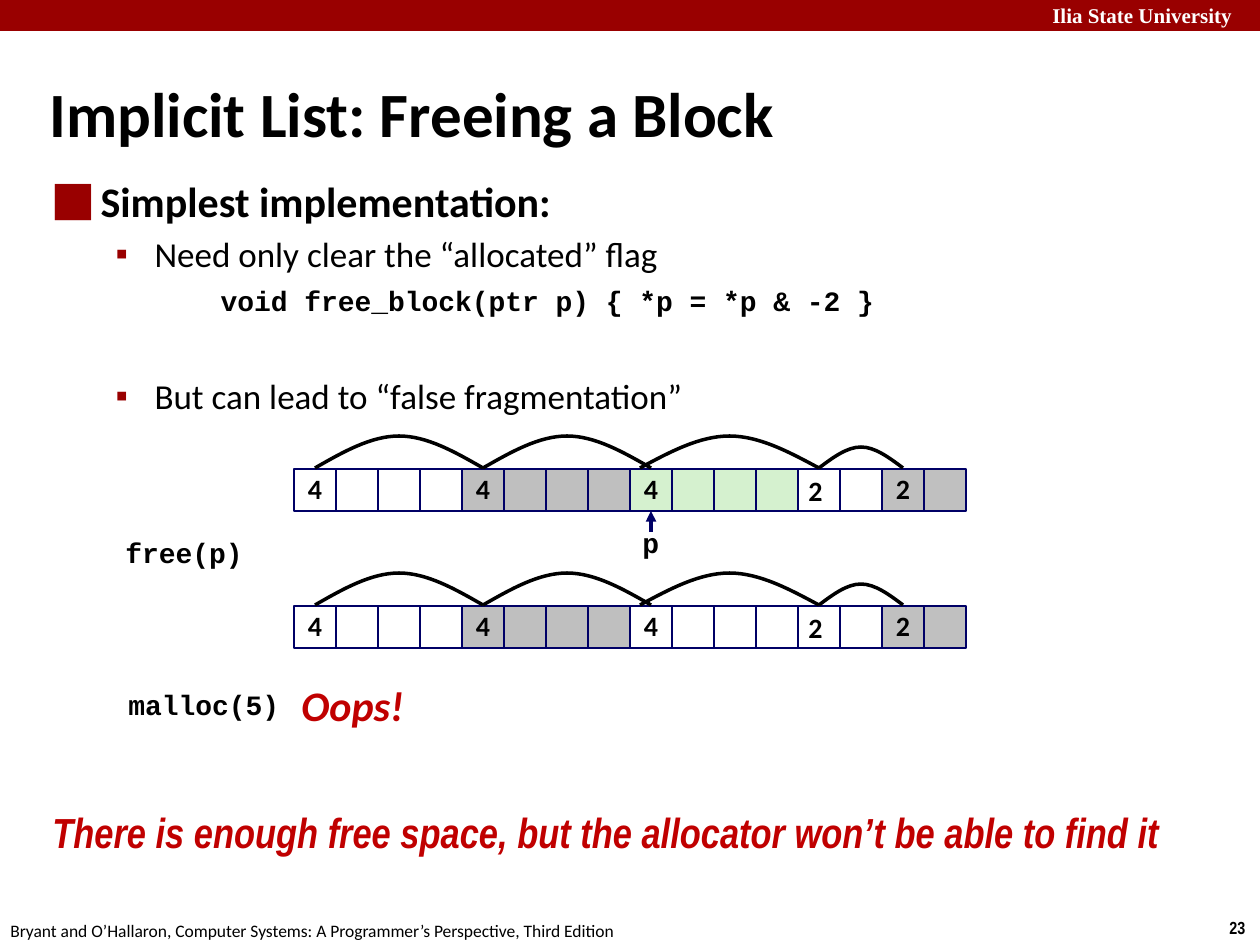
from lxml import etree
from pptx import Presentation
from pptx.dml.color import RGBColor
from pptx.enum.shapes import MSO_CONNECTOR, MSO_SHAPE
from pptx.enum.text import MSO_ANCHOR, MSO_AUTO_SIZE, PP_ALIGN
from pptx.oxml.ns import qn
from pptx.util import Pt

SCALE = 914400 / 126  # EMU in one px
RECTANGLE = MSO_SHAPE.RECTANGLE
STRAIGHT = MSO_CONNECTOR.STRAIGHT
MIDDLE, TOP = MSO_ANCHOR.MIDDLE, MSO_ANCHOR.TOP
NO_AUTOSIZE = MSO_AUTO_SIZE.NONE
LEFT, CENTER = PP_ALIGN.LEFT, PP_ALIGN.CENTER

COLORS = {
    "maroon": "990000", "red": "C00000", "navy": "000066", "black": "000000",
    "white": "FFFFFF", "gray": "BFBFBF", "silver": "C0C0C0", "green": "D5F1CF",
}
CELL = 42
ROW_LEFT = 294
# Blocks of the heap: size, fill
HEAP_BEFORE = [(4, "white"), (4, "gray"), (4, "green"), (2, "white"), (2, "silver")]
HEAP_AFTER = [(4, "white"), (4, "gray"), (4, "white"), (2, "white"), (2, "silver")]
# Arcs between block headers: left, width, height
ARCS = [(315, 168, 32), (483, 168, 32), (640, 179, 32), (819, 84, 21)]
# Bezier points of one arc, as parts of its width and height
ARC_POINTS = [(1 / 6, 0.5), (1 / 3, 1), (1 / 2, 1), (2 / 3, 1), (5 / 6, 0.5), (1, 0)]


def px(length):
    return round(length * SCALE)


def color(name):
    return RGBColor.from_string(COLORS[name])


def place(box, left, top, width, height):
    box.left, box.top, box.width, box.height = map(px, (left, top, width, height))


def style(para, size, font="Calibri", ink="black", bold=True, italic=False):
    for span in para.runs:
        span.font.size, span.font.name = Pt(size), font
        span.font.bold, span.font.italic = bold, italic
        span.font.color.rgb = color(ink)


def add_label(page, text, bounds, size, wrap=False, spacing=1.0, **looks):
    box = page.shapes.add_textbox(*map(px, bounds))
    frame = box.text_frame
    frame.text = text
    frame.word_wrap = wrap
    frame.auto_size = NO_AUTOSIZE
    frame.paragraphs[0].line_spacing = spacing
    style(frame.paragraphs[0], size, **looks)


def add_rectangle(page, bounds, fill, line=None):
    box = page.shapes.add_shape(RECTANGLE, *map(px, bounds))
    box.shadow.inherit = False
    box.fill.solid()
    box.fill.fore_color.rgb = color(fill)
    if line:
        box.line.color.rgb = color(line)
        box.line.width = Pt(0.75)
    else:
        box.line.fill.background()
    return box


def add_arc(page, left, base, width, height):
    points = [(px(left + x * width), px(base - y * height)) for x, y in ARC_POINTS]
    builder = page.shapes.build_freeform(px(left), px(base))
    builder.add_line_segments(points, close=False)
    arc = builder.convert_to_shape()
    # Join each three line points into one Bezier segment
    outline = next(arc.element.iter(qn("a:path")))
    lines = outline.findall(qn("a:lnTo"))
    for start in range(0, len(lines), 3):
        curve = etree.SubElement(outline, qn("a:cubicBezTo"))
        for line in lines[start:start + 3]:
            curve.append(line[0])
            outline.remove(line)
    arc.shadow.inherit = False
    arc.fill.background()
    arc.line.color.rgb = color("black")
    arc.line.width = Pt(2)


def add_heap(page, top, blocks):
    """Draw one row of blocks and return its cells."""
    cells = []
    for number, (size, fill) in enumerate(blocks):
        for offset in range(size):
            left = ROW_LEFT + len(cells) * CELL
            cell = add_rectangle(page, (left, top, CELL, CELL), fill, "navy")
            cells.append(cell)
            if offset:
                continue
            if number == 3:  # this header sits a little left of the middle
                add_label(page, str(size), (left - 2, top, 39, 47), 16, spacing=0.98)
                continue
            cell.text_frame.text = str(size)
            cell.text_frame.vertical_anchor = MIDDLE
            para = cell.text_frame.paragraphs[0]
            para.alignment = CENTER
            para.line_spacing = 0.98
            style(para, 16)
    for left, width, height in ARCS:
        add_arc(page, left, top - 1, width, height)
    return cells


def add_pointer(page, cell):
    arrow = page.shapes.add_connector(STRAIGHT, px(651), px(532), px(651), px(511))
    arrow.end_connect(cell, 2)
    arrow.line.color.rgb = color("navy")
    arrow.line.width = Pt(2)
    line = arrow.line._get_or_add_ln()
    etree.SubElement(line, qn("a:tailEnd"), type="triangle")
    etree.SubElement(arrow.element.spPr, qn("a:effectLst"))


def set_bullet(para, symbol, margin, indent):
    properties = para._p.get_or_add_pPr()
    properties.set("marL", str(px(margin)))
    properties.set("indent", str(px(indent)))
    if not symbol:
        etree.SubElement(properties, qn("a:buNone"))
        return
    tint = etree.SubElement(properties, qn("a:buClr"))
    etree.SubElement(tint, qn("a:srgbClr"), val=COLORS["maroon"])
    etree.SubElement(properties, qn("a:buChar"), char=symbol)


def fill_title(title):
    place(title, 37, 73, 993, 79)
    title.text_frame.text = "Implicit List: Freeing a Block"
    title.text_frame.vertical_anchor = MIDDLE
    title.text_frame.auto_size = NO_AUTOSIZE
    para = title.text_frame.paragraphs[0]
    para.alignment = LEFT
    style(para, 36)


def fill_body(body):
    # text, level, bullet, margin, indent, space before, looks
    items = [
        ("Simplest implementation:", 0, "⬛", 48, -48, 0, {"size": 24}),
        ("Need only clear the “allocated” flag", 1, "▪", 102, -39, 4,
         {"size": 20, "bold": False}),
        ("void free_block(ptr p) { *p = *p & -2 }", 2, None, 168, 0, 5,
         {"size": 16, "font": "Courier New"}),
        ("But can lead to “false fragmentation”", 1, "▪", 102, -39, 33,
         {"size": 20, "bold": False}),
    ]
    place(body, 40, 169, 1145, 599)
    frame = body.text_frame
    frame.vertical_anchor = TOP
    frame.auto_size = NO_AUTOSIZE
    frame.text = "\n".join(item[0] for item in items)
    for para, item in zip(frame.paragraphs, items):
        _, level, symbol, margin, indent, before, looks = item
        para.level = level
        set_bullet(para, symbol, margin, indent)
        para.space_before = Pt(before)
        style(para, **looks)


def main():
    deck = Presentation()
    deck.slide_width, deck.slide_height = px(1260), px(945)
    page = deck.slides.add_slide(deck.slide_layouts[1])

    # Header band and footer
    add_rectangle(page, (0, 0, 1260, 31), "maroon")
    add_label(page, "Ilia State University", (1040, -4, 229, 38), 12,
              font="Times New Roman", ink="white")
    add_label(page, "23", (1217, 911, 43, 34), 10, font="Arial Narrow")
    add_label(page, "Bryant and O’Hallaron, Computer Systems: "
              "A Programmer’s Perspective, Third Edition",
              (-2, 914, 640, 34), 10, bold=False)

    # Title and list
    fill_title(page.shapes.title)
    fill_body(page.placeholders[1])

    # Heap before and after the call of free
    cells = add_heap(page, 469, HEAP_BEFORE)
    add_pointer(page, cells[8])
    add_heap(page, 606, HEAP_AFTER)

    # Code labels
    for text, bounds in [("p", (630, 522, 42, 45)),
                         ("free(p)", (113, 532, 144, 45)),
                         ("malloc(5)", (116, 684, 178, 45))]:
        add_label(page, text, bounds, 16, spacing=0.94, font="Courier New")

    # Conclusion
    add_label(page, "Oops!", (289, 672, 130, 63), 24, spacing=1.02,
              ink="red", italic=True)
    add_label(page, "There is enough free space, but the allocator "
              "won’t be able to find it", (40, 800, 1150, 102), 24, wrap=True,
              font="Arial Narrow", ink="red", italic=True)

    deck.save("out.pptx")


if __name__ == "__main__":
    main()
